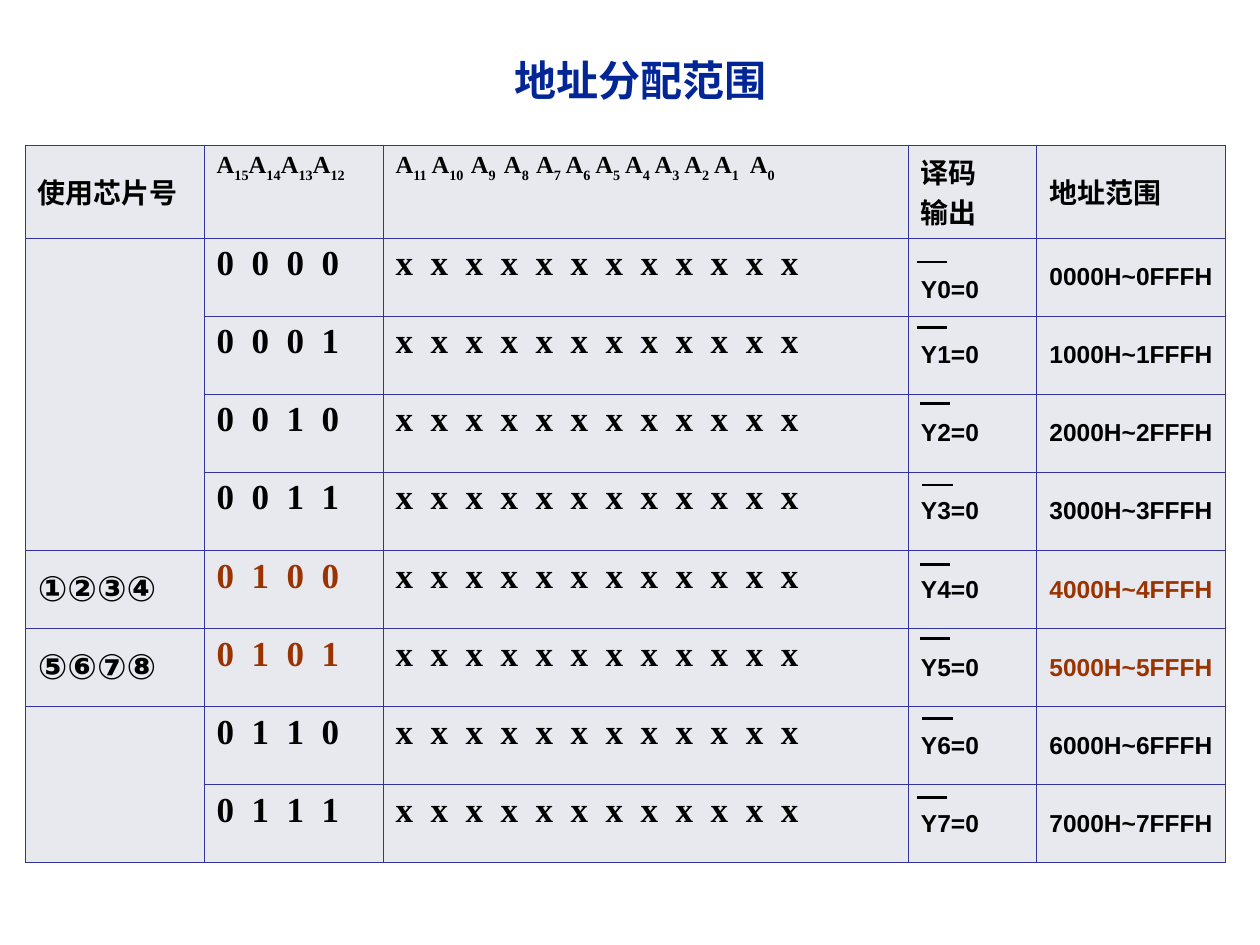
from dataclasses import dataclass

from lxml import etree
from pptx import Presentation
from pptx.dml.color import RGBColor
from pptx.enum.shapes import MSO_CONNECTOR
from pptx.enum.text import MSO_ANCHOR, PP_ALIGN
from pptx.oxml.ns import qn
from pptx.util import Inches, Pt

STRAIGHT = MSO_CONNECTOR.STRAIGHT
TOP, MIDDLE = MSO_ANCHOR.TOP, MSO_ANCHOR.MIDDLE
LEFT, CENTER = PP_ALIGN.LEFT, PP_ALIGN.CENTER


@dataclass(frozen=True)
class Theme:
    title: str = "032697"
    text: str = "000000"
    accent: str = "993300"
    cell: str = "E8E8EF"
    border: str = "333399"
    border_pt: float = 0.45
    bar_pt: float = 1.5
    sans: str = "Arial"
    serif: str = "Times New Roman"
    title_size: int = 24
    bits_size: int = 20
    head_size: int = 16
    body_size: int = 14


@dataclass(frozen=True)
class Overbar:
    x: float
    y: float
    width: float = 0.24


THEME = Theme()
COLUMNS = [1.42, 1.42, 4.17, 1.02, 1.5]
HEAD_HEIGHT, ROW_HEIGHT = 0.74, 0.62
CHIPS = {4: "①②③④", 5: "⑤⑥⑦⑧"}
BLANK_CHIP_ROWS = [(1, 4), (7, 8)]
# Parts at odd positions between the bars are subscripts
HIGH_LINES = "A|15|A|14|A|13|A|12"
LOW_LINES = ("A|11| A|10  |A|9 | A|8  |A|7| A|6| A|5| A|4"
             "| A|3| A|2| A|1|  A|0")
OVERBARS = [
    Overbar(7.28, 2.08), Overbar(7.28, 2.6), Overbar(7.3, 3.2),
    Overbar(7.32, 3.85), Overbar(7.3, 4.48), Overbar(7.3, 5.07),
    Overbar(7.32, 5.7), Overbar(7.28, 6.33),
]


def write(tf, text: str, *, size: float, font: str = THEME.sans,
          color: str = THEME.text, align=LEFT) -> None:
    """Write bold text: one paragraph a line, subscripts between bars."""
    for i, line in enumerate(text.split("\n")):
        p = tf.paragraphs[0] if i == 0 else tf.add_paragraph()
        p.alignment = align
        for j, part in enumerate(line.split("|")):
            r = p.add_run()
            r.text = part
            r.font.size = Pt(size)
            r.font.name = font
            r.font.bold = True
            r.font.color.rgb = RGBColor.from_string(color)
            if j % 2:
                r._r.get_or_add_rPr().set("baseline", "-30000")


def style_cell(cell) -> None:
    """Give a cell its border on all sides and its fill."""
    props = cell._tc.get_or_add_tcPr()
    for side in ("a:lnL", "a:lnR", "a:lnT", "a:lnB"):
        ln = etree.SubElement(props, qn(side), w=str(int(Pt(THEME.border_pt))))
        fill = etree.SubElement(ln, qn("a:solidFill"))
        etree.SubElement(fill, qn("a:srgbClr"), val=THEME.border)
    cell.fill.solid()
    cell.fill.fore_color.rgb = RGBColor.from_string(THEME.cell)


def fill_cell(cell, text: str, *, anchor=MIDDLE, **fmt) -> None:
    cell.vertical_anchor = anchor
    write(cell.text_frame, text, **fmt)


def add_title(s, text: str) -> None:
    sp = s.shapes.add_textbox(Inches(0.35), Inches(0.28), Inches(9.47), Inches(0.71))
    tf = sp.text_frame
    tf.word_wrap = True
    tf.vertical_anchor = MIDDLE
    write(tf, text, size=THEME.title_size, font=THEME.serif,
          color=THEME.title, align=CENTER)


def add_address_table(s) -> None:
    count = len(OVERBARS)
    frame = s.shapes.add_table(
        count + 1, len(COLUMNS), Inches(0.2), Inches(1.15),
        Inches(sum(COLUMNS)), Inches(HEAD_HEIGHT + count * ROW_HEIGHT))
    table = frame.table
    for column, width in zip(table.columns, COLUMNS):
        column.width = Inches(width)
    for i, row in enumerate(table.rows):
        row.height = Inches(ROW_HEIGHT if i else HEAD_HEIGHT)
    for cell in table.iter_cells():
        style_cell(cell)
    for first, last in BLANK_CHIP_ROWS:
        table.cell(first, 0).merge(table.cell(last, 0))

    # Header row
    for col, label in ((0, "使用芯片号"), (3, "译码\n输出"), (4, "地址范围")):
        fill_cell(table.cell(0, col), label, size=THEME.head_size)
    for col, label in ((1, HIGH_LINES), (2, LOW_LINES)):
        fill_cell(table.cell(0, col), label, anchor=TOP,
                  size=THEME.body_size, font=THEME.serif)

    # One row for each decoder output
    bits = {"size": THEME.bits_size, "font": THEME.serif, "anchor": TOP}
    for n in range(count):
        _, high, low, output, address = table.rows[n + 1].cells
        color = THEME.accent if n in CHIPS else THEME.text
        fill_cell(high, "  ".join(f"{n:04b}"), color=color, **bits)
        fill_cell(low, "  ".join("x" * 12), **bits)
        fill_cell(output, f"Y{n}=0", size=THEME.body_size)
        fill_cell(address, f"{n}000H~{n}FFFH", size=THEME.body_size, color=color)
    for n, chips in CHIPS.items():
        fill_cell(table.cell(n + 1, 0), chips, size=THEME.bits_size)
    # The first output sits lower, under its bar
    table.cell(1, 3).margin_top = Inches(0.26)


def add_overbar(s, bar: Overbar) -> None:
    y = Inches(bar.y)
    line = s.shapes.add_connector(
        STRAIGHT, Inches(bar.x), y, Inches(bar.x + bar.width), y)
    line.line.width = Pt(THEME.bar_pt)
    line.line.color.rgb = RGBColor.from_string(THEME.text)
    etree.SubElement(line._element.spPr, qn("a:effectLst"))


def main() -> None:
    prs = Presentation()
    prs.slide_width, prs.slide_height = Inches(10), Inches(7.5)
    s = prs.slides.add_slide(prs.slide_layouts[6])
    add_title(s, "地址分配范围")
    add_address_table(s)
    for bar in OVERBARS:
        add_overbar(s, bar)
    prs.save("out.pptx")


if __name__ == "__main__":
    main()
